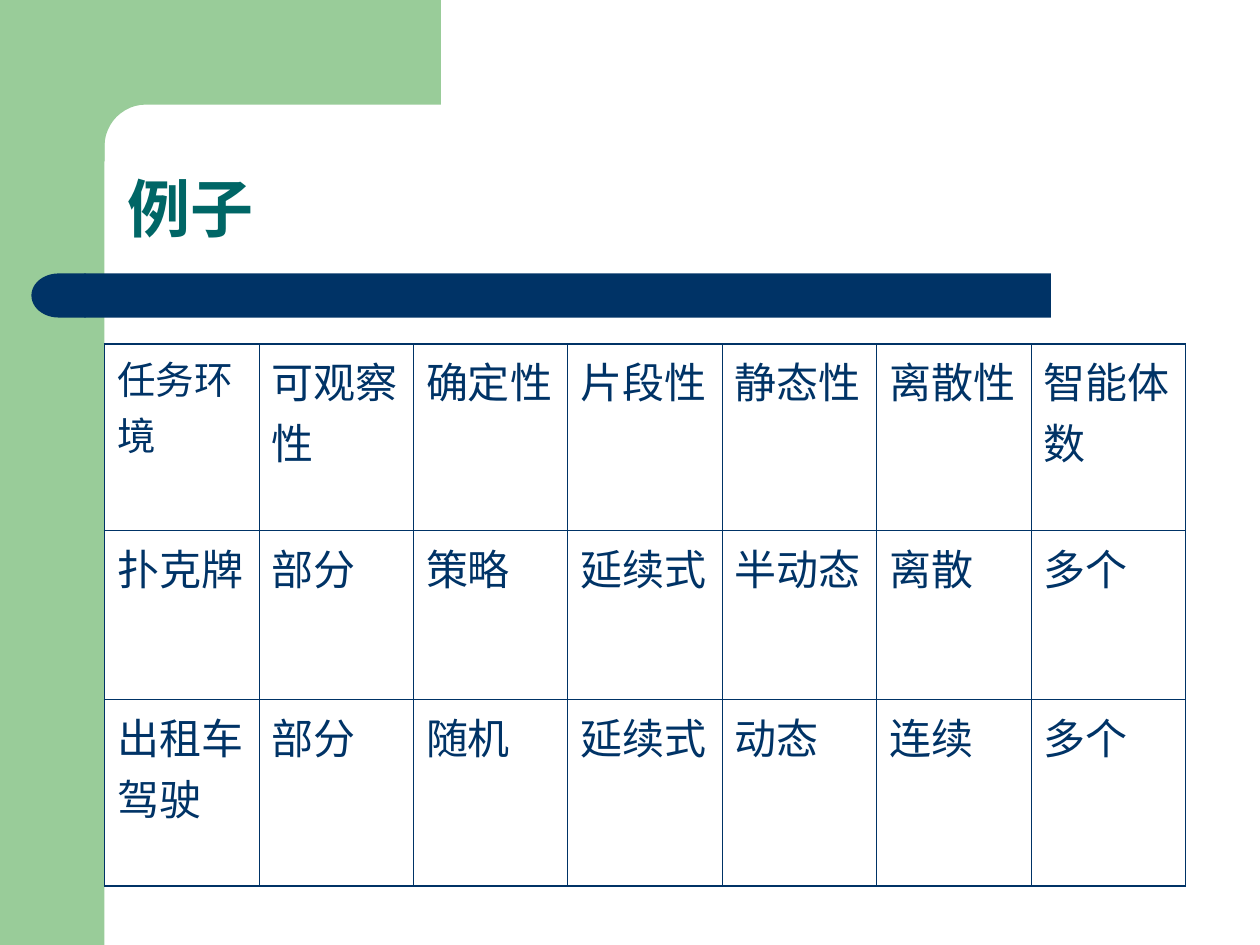
import math

from lxml import etree
from pptx import Presentation
from pptx import util as u
from pptx.dml.color import RGBColor
from pptx.enum import shapes, text
from pptx.oxml import ns

GREEN = RGBColor(0x99, 0xCC, 0x99)
NAVY = RGBColor(0x00, 0x33, 0x66)
TEAL = RGBColor(0x00, 0x66, 0x66)
FONT = "Arial"
THIN, THICK = 0.45, 1.08

ENVIRONMENTS = [
    ["任务环境", "可观察性", "确定性", "片段性", "静态性", "离散性", "智能体数"],
    ["扑克牌", "部分", "策略", "延续式", "半动态", "离散", "多个"],
    ["出租车驾驶", "部分", "随机", "延续式", "动态", "连续", "多个"],
]
ROW_HEIGHTS = [1.48, 1.34, 1.48]


def inches(*lengths):
    return [u.Inches(length) for length in lengths]


def paint(shape, color):
    shape.shadow.inherit = False
    shape.fill.solid()
    shape.fill.fore_color.rgb = color
    shape.line.fill.background()


def add_block(slide, kind, box, color):
    block = slide.shapes.add_shape(kind, *inches(*box))
    paint(block, color)
    return block


def add_corner(slide):
    radius, center_x, center_y = 0.33, 1.16, 1.16
    curve = []
    for step in range(13):
        angle = math.pi / 2 * step / 12
        curve.append((center_x - radius * math.sin(angle),
                      center_y - radius * math.cos(angle)))
    outline = [(3.5, 0.83), *curve, (0.83, 1.28), (0.5, 1.28), (0.5, 0)]
    builder = slide.shapes.build_freeform(*inches(3.5, 0), scale=1.0)
    builder.add_line_segments([inches(*point) for point in outline], close=True)
    paint(builder.convert_to_shape(), GREEN)


def write(frame, words, size, color, bold=False, before=0, spacing=1.0):
    frame.word_wrap = True
    paragraph = frame.paragraphs[0]
    paragraph.space_before = u.Pt(before)
    paragraph.line_spacing = spacing
    run = paragraph.add_run()
    run.text = words
    run.font.name = FONT
    run.font.size = u.Pt(size)
    run.font.bold = bold
    run.font.color.rgb = color


def add_title(slide, words):
    title = slide.shapes.add_textbox(*inches(0.91, 0.91, 8.51, 1.09)).text_frame
    title.vertical_anchor = text.MSO_ANCHOR.BOTTOM
    write(title, words, size=36, color=TEAL, bold=True, spacing=0.9)


def set_borders(cell, widths):
    properties = cell._tc.get_or_add_tcPr()
    for side, width in widths.items():
        line = etree.SubElement(properties, ns.qn(f"a:ln{side}"), w=str(u.Pt(width)))
        fill = etree.SubElement(line, ns.qn("a:solidFill"))
        etree.SubElement(fill, ns.qn("a:srgbClr"), val=str(NAVY))


def add_environment_table(slide):
    last_row, last_column = len(ENVIRONMENTS) - 1, len(ENVIRONMENTS[0]) - 1
    table = slide.shapes.add_table(
        last_row + 1, last_column + 1, *inches(0.83, 2.73, 8.58, sum(ROW_HEIGHTS))
    ).table
    table.first_row = False
    table.horz_banding = False
    for r, (height, labels) in enumerate(zip(ROW_HEIGHTS, ENVIRONMENTS)):
        table.rows[r].height = u.Inches(height)
        for c, label in enumerate(labels):
            cell = table.cell(r, c)
            set_borders(cell, {
                "L": THICK if c == 0 else THIN,
                "R": THICK if c == last_column else THIN,
                "T": THICK if r == 0 else THIN,
                "B": THICK if r == last_row else THIN,
            })
            cell.fill.background()
            size = 22 if r == c == 0 else 24
            write(cell.text_frame, label, size=size, color=NAVY, before=size / 4)


def main():
    deck = Presentation()
    deck.slide_width, deck.slide_height = inches(10, 7.5)
    slide = deck.slides.add_slide(deck.slide_layouts[6])

    add_block(slide, shapes.MSO_SHAPE.RECTANGLE, (0, 0, 0.83, 7.5), GREEN)
    add_corner(slide)
    bar = add_block(slide, shapes.MSO_SHAPE.ROUNDED_RECTANGLE,
                    (0.67, 2.17, 7.67, 0.35), NAVY)
    bar.adjustments[0] = 0
    bar_cap = add_block(slide, shapes.MSO_SHAPE.FLOWCHART_DELAY,
                        (0.25, 2.17, 0.43, 0.35), NAVY)
    bar_cap.element.spPr.xfrm.set("flipH", "1")
    add_environment_table(slide)
    add_title(slide, "例子")
    deck.save("out.pptx")


if __name__ == "__main__":
    main()
